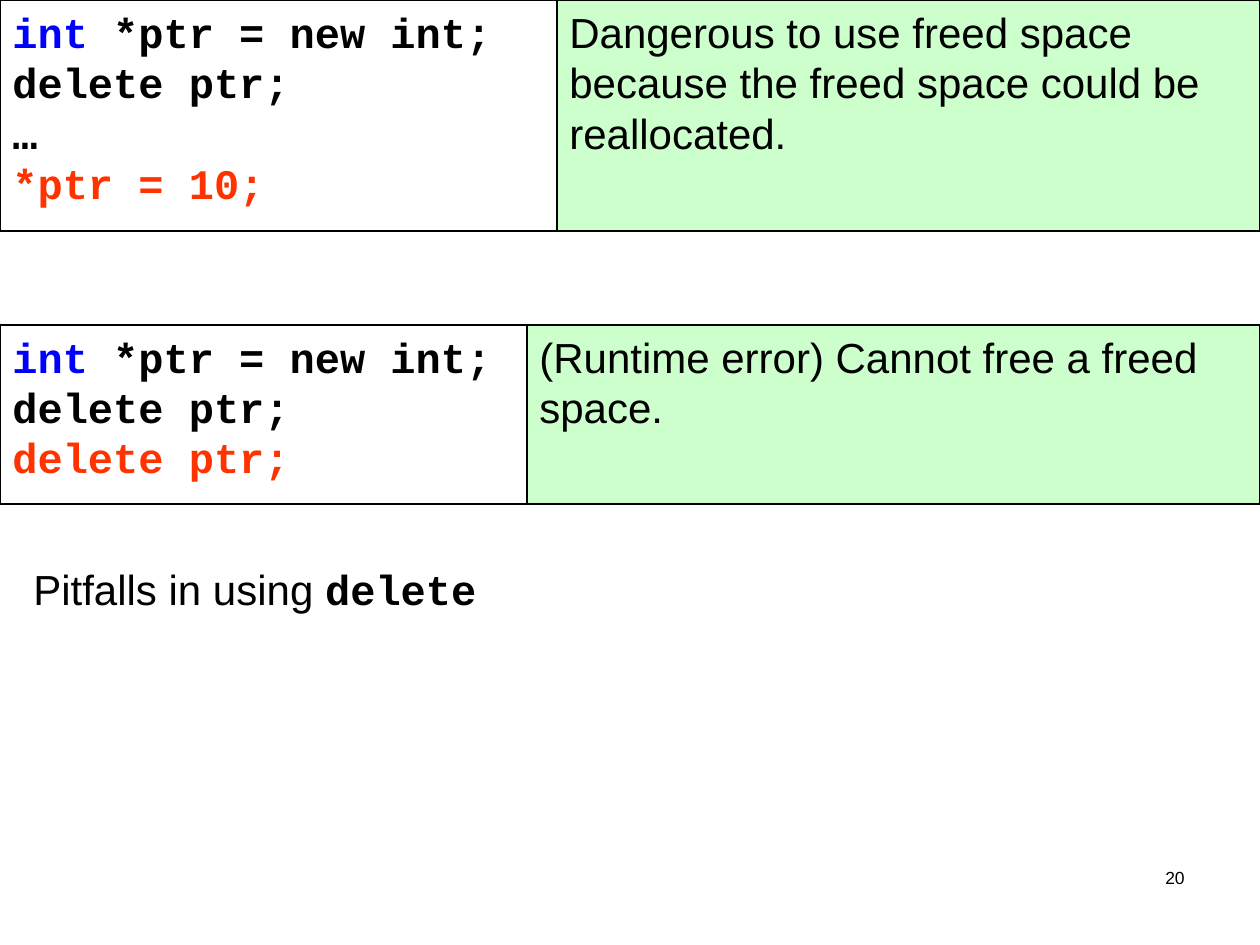
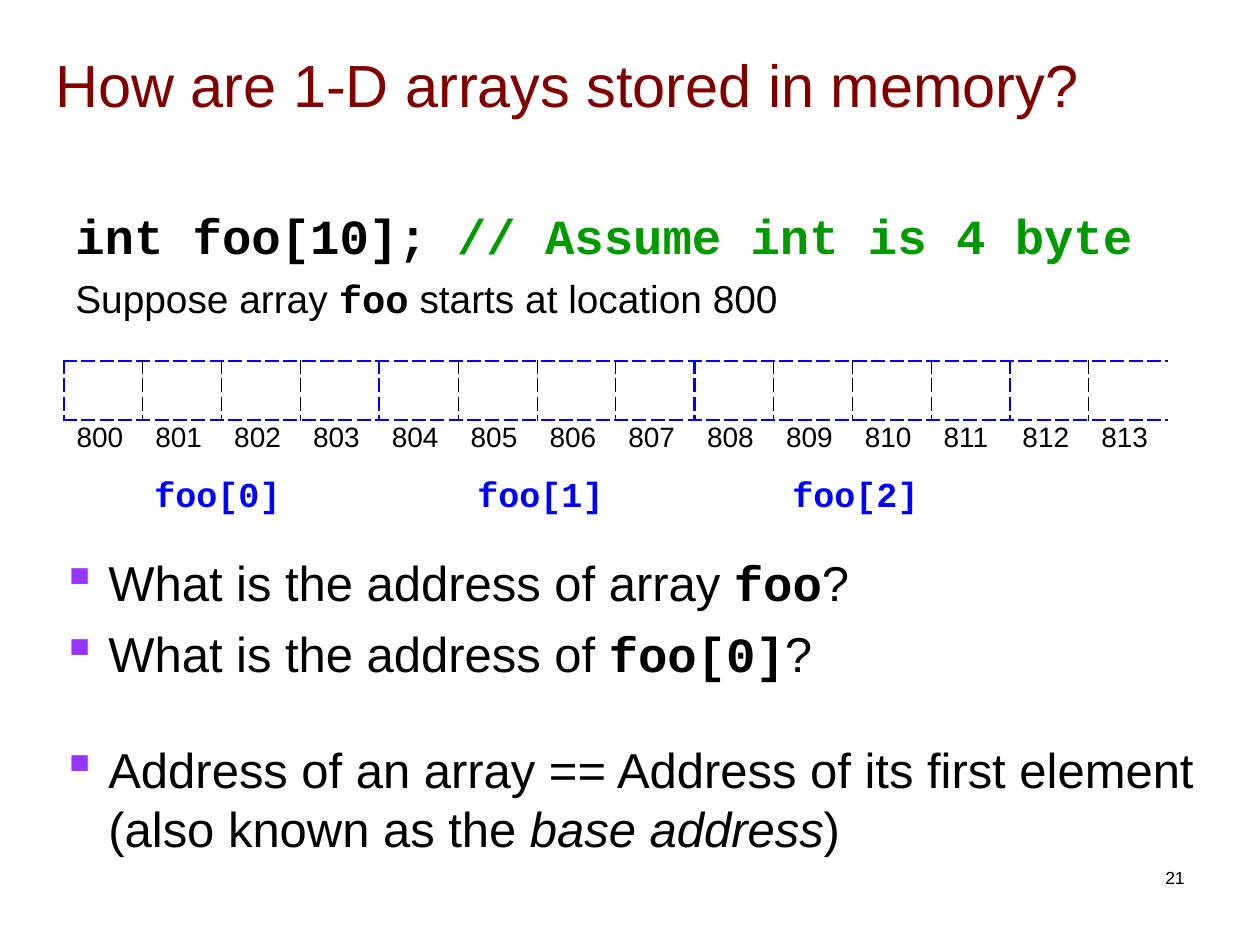
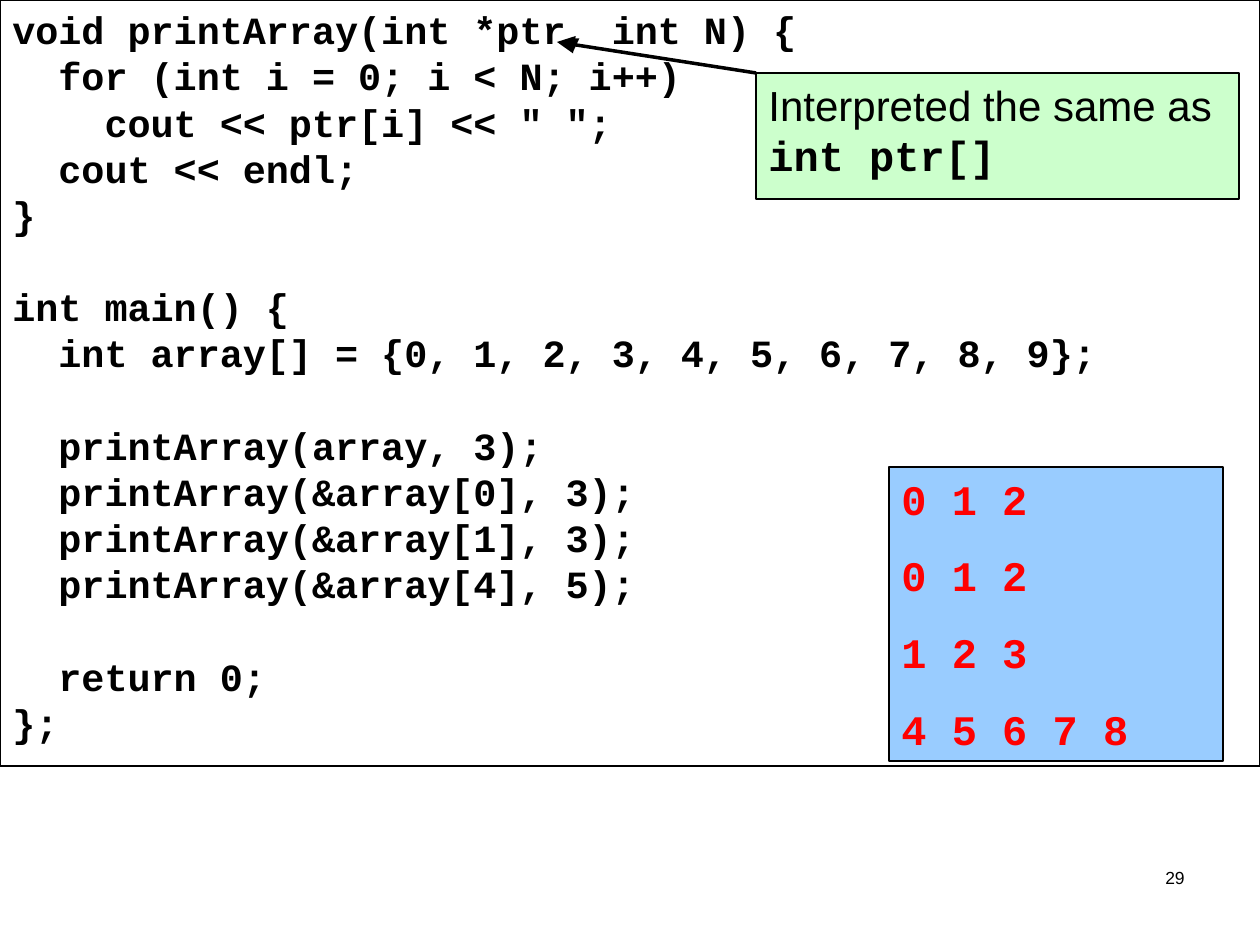
from lxml.etree import SubElement
from pptx import Presentation
from pptx.dml.color import RGBColor
from pptx.enum.shapes import MSO_CONNECTOR, MSO_SHAPE
from pptx.enum.text import MSO_ANCHOR, PP_ALIGN
from pptx.oxml.ns import qn
from pptx.util import Emu, Pt

SANS, MONO = "Arial", "Courier New"
BLACK, WHITE, BLUE, ORANGE = "000000", "FFFFFF", "0000FF", "FF3300"
GREEN, MAROON, PURPLE, RED = "009900", "800000", "9933FF", "FF0000"
NOTE_FILL, OUTPUT_FILL = "CCFFCC", "99CCFF"
NO_GRID_STYLE = "{2D5ABB26-0587-4C30-8999-92F81FD0307C}"
rgb = RGBColor.from_string


def px(n):
    """Turn pixels, 126 to the inch, into EMU."""
    return Emu(round(n * 914400 / 126))


def add_text(slide, box, lines, size, fill=None, line_width=0.75):
    """Add a text box, or a filled and outlined one; each line is a list of
    (text, font, colour) runs, and code runs are bold."""
    box = [px(n) for n in box]
    if fill:
        sp = slide.shapes.add_shape(MSO_SHAPE.RECTANGLE, *box)
        sp.shadow.inherit = False
        sp.fill.solid()
        sp.fill.fore_color.rgb = rgb(fill)
        sp.line.color.rgb = rgb(BLACK)
        sp.line.width = Pt(line_width)
    else:
        sp = slide.shapes.add_textbox(*box)
    tf = sp.text_frame
    tf.word_wrap = True
    tf.vertical_anchor = MSO_ANCHOR.TOP
    for i, line in enumerate(lines):
        p = tf.add_paragraph() if i else tf.paragraphs[0]
        p.alignment = PP_ALIGN.LEFT
        p.line_spacing = Pt(round(size * 1.2, 1))
        for text, font, colour in line:
            r = p.add_run()
            r.text = text
            r.font.name = font
            r.font.size = Pt(size)
            r.font.bold = font == MONO
            r.font.color.rgb = rgb(colour)
    return sp


prs = Presentation()
prs.slide_width, prs.slide_height = px(1260), px(945)
slides = []
for number in (20, 21, 29):
    s = prs.slides.add_slide(prs.slide_layouts[6])
    sp = add_text(s, (903, 861, 294, 63), [[(str(number), SANS, BLACK)]], 10)
    sp.text_frame.paragraphs[0].alignment = PP_ALIGN.RIGHT
    slides.append(s)
pitfalls, arrays, functions = slides

# Pitfalls of delete
new_int = [("int", MONO, BLUE), (" *ptr = new int;", MONO, BLACK)]
delete_ptr = [("delete ptr;", MONO, BLACK)]
cases = [
    (0, 231, 557,
     [new_int, delete_ptr, [("…", MONO, BLACK)], [("*ptr = 10;", MONO, ORANGE)]],
     "Dangerous to use freed space because the freed space could be reallocated."),
    (325, 179, 527,
     [new_int, delete_ptr, [("delete ptr;", MONO, ORANGE)]],
     "(Runtime error) Cannot free a freed space."),
]
for top, height, note_left, code, note in cases:
    add_text(pitfalls, (0, top, 1260, height), code, 24, WHITE)
    add_text(pitfalls, (note_left, top, 1260 - note_left, height),
             [[(note, SANS, BLACK)]], 24, NOTE_FILL)
add_text(pitfalls, (21, 557, 1011, 63),
         [[("Pitfalls in using ", SANS, BLACK), ("delete", MONO, BLACK)]], 24)

# Arrays in memory
sp = add_text(arrays, (43, 33, 1181, 101),
              [[("How are 1-D arrays stored in memory?", SANS, MAROON)]], 34)
sp.text_frame.vertical_anchor = MSO_ANCHOR.MIDDLE
add_text(arrays, (63, 199, 1134, 73),
         [[("int foo[10]; ", MONO, BLACK), ("// Assume int is 4 byte", MONO, GREEN)]], 28)
sp = add_text(arrays, (63, 273, 1134, 63),
              [[("Suppose array ", SANS, BLACK), ("foo", MONO, BLACK),
                (" starts at location 800", SANS, BLACK)]], 22.2)
sp.text_frame.paragraphs[0].line_spacing = Pt(24)

BYTES, BYTES_PER_INT = 14, 4
tables = []
for top, height in ((361, 59), (416, 50)):
    frame = arrays.shapes.add_table(1, BYTES, px(64), px(top), px(1104), px(height))
    for style in frame.element.iter(qn("a:tableStyleId")):
        style.text = NO_GRID_STYLE
    table = frame.table
    table.first_row = table.horz_banding = False
    for column in table.columns:
        column.width = px(1104) // BYTES
    tables.append(table)
memory, addresses = tables

thick, thin = (BLUE, 1.47), (BLACK, 0.45)
for i in range(BYTES):
    cell = memory.cell(0, i)
    tcPr = cell._tc.get_or_add_tcPr()
    borders = {
        "a:lnL": thin if i % BYTES_PER_INT else thick,
        "a:lnR": thin if (i + 1) % BYTES_PER_INT else thick,
        "a:lnT": thick,
        "a:lnB": thick,
    }
    if i == BYTES - 1:
        del borders["a:lnR"]
    for side, (colour, width) in borders.items():
        ln = SubElement(tcPr, qn(side), w=str(Pt(width)))
        SubElement(SubElement(ln, qn("a:solidFill")), qn("a:srgbClr"), val=colour)
        SubElement(ln, qn("a:prstDash"), val="dash")
    cell.fill.background()

    cell = addresses.cell(0, i)
    cell.fill.background()
    cell.text = str(800 + i)
    font = cell.text_frame.paragraphs[0].runs[0].font
    font.name, font.size = SANS, Pt(16)
    font.color.rgb = rgb(BLACK)

for i, left in enumerate((142, 465, 780)):
    add_text(arrays, (left, 466, 160, 55), [[(f"foo[{i}]", MONO, BLUE)]], 20)

sp = add_text(arrays, (49, 546, 1163, 336), [
    [("What is the address of array ", SANS, BLACK), ("foo", MONO, BLACK),
     ("?", SANS, BLACK)],
    [("What is the address of ", SANS, BLACK), ("foo[0]", MONO, BLACK),
     ("?", SANS, BLACK)],
    [("Address of an array == Address of its first element (also known as the ",
      SANS, BLACK), ("base address", SANS, BLACK), (")", SANS, BLACK)],
], 28)
for p, space in zip(sp.text_frame.paragraphs, (0, 7, 33)):
    pPr = p._p.get_or_add_pPr()
    pPr.set("marL", str(px(47)))
    pPr.set("indent", str(-px(47)))
    SubElement(SubElement(pPr, qn("a:buClr")), qn("a:srgbClr"), val=PURPLE)
    SubElement(pPr, qn("a:buChar"), char="▪")
    p.space_before = Pt(space)
p.runs[1].font.italic = True

# Arrays as function arguments
listing = """void printArray(int *ptr, int N) {
  for (int i = 0; i < N; i++)
    cout << ptr[i] << " ";
  cout << endl;
}

int main() {
  int array[] = {0, 1, 2, 3, 4, 5, 6, 7, 8, 9};

  printArray(array, 3);
  printArray(&array[0], 3);
  printArray(&array[1], 3);
  printArray(&array[4], 5);

  return 0;
};"""
blocks = [block.split("\n") for block in listing.split("\n\n")]
code = [[(line, MONO, BLACK)] for block in blocks for line in block]
sp = add_text(functions, (0, 0, 1260, 766), code, 22, WHITE)
block_start = 0
for block in blocks[:-1]:
    block_start += len(block)
    p = sp.text_frame.paragraphs[block_start]
    p.space_before = p.line_spacing

add_text(functions, (756, 73, 483, 126),
         [[("Interpreted the same as", SANS, BLACK)], [("int ptr[]", MONO, BLACK)]],
         24, NOTE_FILL)
arrow = functions.shapes.add_connector(
    MSO_CONNECTOR.STRAIGHT, px(756), px(73), px(557), px(42))
arrow.line.color.rgb = rgb(BLACK)
arrow.line.width = Pt(2)
SubElement(arrow.line._get_or_add_ln(), qn("a:tailEnd"),
           type="triangle", w="lg", len="lg")
SubElement(arrow._element.spPr, qn("a:effectLst"))

output = ["0 1 2", "0 1 2", "1 2 3", "4 5 6 7 8"]
sp = add_text(functions, (889, 467, 334, 294),
              [[(line, MONO, RED)] for line in output], 24, OUTPUT_FILL, 1)
for p in sp.text_frame.paragraphs[1:]:
    p.space_before = Pt(15)

prs.save("out.pptx")
